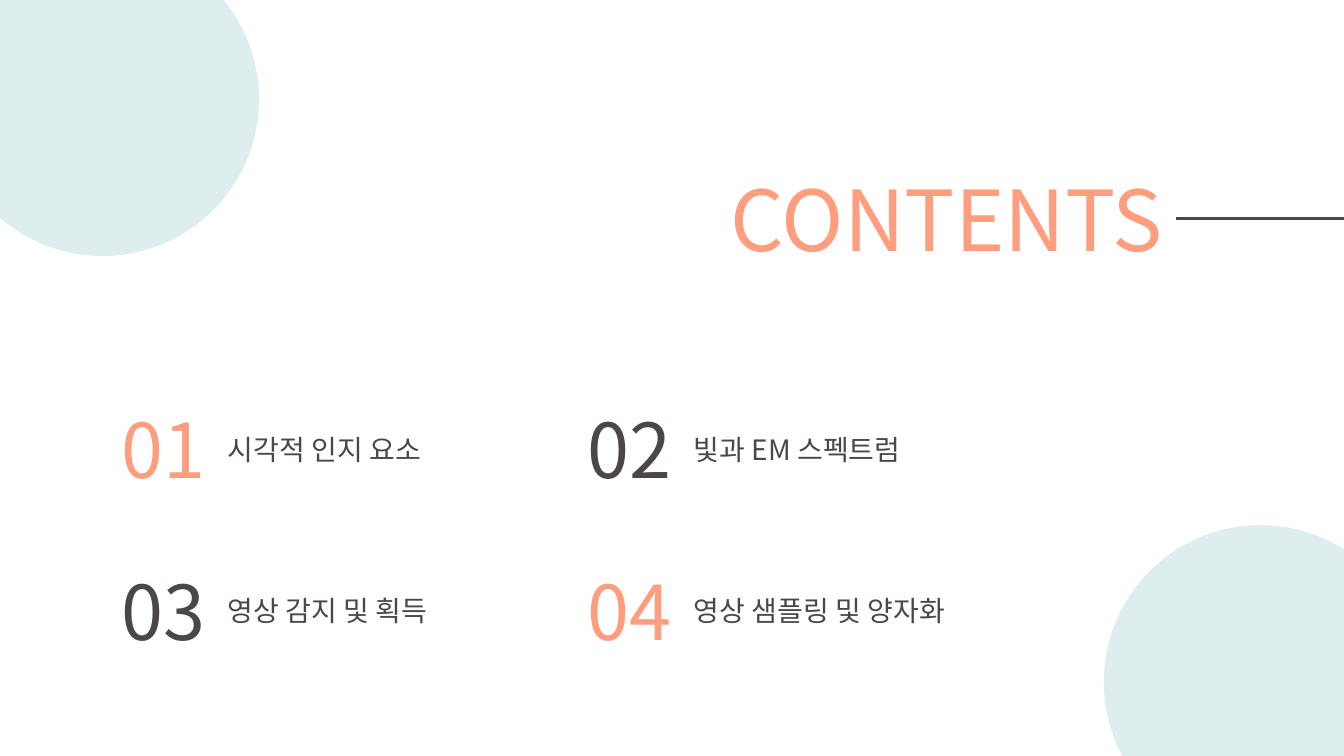
from lxml import etree
from pptx import Presentation
from pptx.dml.color import RGBColor
from pptx.enum.shapes import MSO_CONNECTOR, MSO_SHAPE
from pptx.enum.text import MSO_ANCHOR, MSO_AUTO_SIZE, PP_ALIGN
from pptx.oxml.ns import qn
from pptx.util import Inches, Pt

COLORS = {"coral": "FE9E7E", "ink": "4C4747", "mint": "C8E4E5", "paper": "FFFFFF"}
FONT = "Noto Sans CJK KR"
COLUMNS, ROWS = 40, 22.5


class ContentsSlide:
    """Draws styled elements on one slide, measured in grid columns and rows."""

    def __init__(self, deck, layout):
        self.slide = deck.slides.add_slide(deck.slide_layouts[layout])
        self.column = deck.slide_width / COLUMNS
        self.row = deck.slide_height / ROWS
        background = self.slide.background.fill
        background.solid()
        background.fore_color.rgb = self.color("paper")

    def color(self, name):
        return RGBColor.from_string(COLORS[name])

    def place(self, left, top, width, height):
        return (round(left * self.column), round(top * self.row),
                round(width * self.column), round(height * self.row))

    def set_alpha(self, parent, percent):
        for color in parent.iter(qn("a:srgbClr")):
            etree.SubElement(color, qn("a:alpha"), val=str(percent * 1000))

    def style_text(self, shape, text, area, size, color):
        shape.left, shape.top, shape.width, shape.height = self.place(*area)
        frame = shape.text_frame
        frame.word_wrap = False
        frame.auto_size = MSO_AUTO_SIZE.SHAPE_TO_FIT_TEXT
        frame.vertical_anchor = MSO_ANCHOR.TOP
        paragraph = frame.paragraphs[0]
        paragraph.alignment = PP_ALIGN.LEFT
        paragraph.space_before = Pt(0)
        properties = paragraph._p.get_or_add_pPr()
        properties.set("marL", "0")
        properties.set("indent", "0")
        etree.SubElement(properties, qn("a:buNone"))
        run = paragraph.add_run()
        run.text = text
        run.font.size = Pt(size)
        run.font.bold = False
        run.font.name = FONT
        run.font.color.rgb = self.color(color)
        style = run._r.get_or_add_rPr()
        etree.SubElement(style, qn("a:ea"), typeface=FONT)
        outline = etree.Element(qn("a:ln"), w=str(Pt(0.75)))
        fill = etree.SubElement(outline, qn("a:solidFill"))
        etree.SubElement(fill, qn("a:srgbClr"), val=COLORS[color])
        self.set_alpha(outline, 20)
        style.insert(0, outline)

    def title(self, text, area, size, color):
        self.style_text(self.slide.shapes.title, text, area, size, color)

    def number(self, text, area, size, color):
        box = self.slide.shapes.add_textbox(*self.place(*area))
        self.style_text(box, text, area, size, color)

    def topic(self, index, text, area, size, color):
        self.style_text(self.slide.placeholders[index], text, area, size, color)

    def rule(self, left, right, top, color, weight):
        x, y, width, _ = self.place(left, top, right - left, 0)
        line = self.slide.shapes.add_connector(MSO_CONNECTOR.STRAIGHT, x, y, x + width, y)
        line.line.color.rgb = self.color(color)
        line.line.width = Pt(weight)
        etree.SubElement(line._element.spPr, qn("a:effectLst"))

    def circle(self, left, top, diameter, color, alpha):
        area = self.place(left, top, diameter, diameter)
        disc = self.slide.shapes.add_shape(MSO_SHAPE.OVAL, *area)
        disc.shadow.inherit = False
        disc.fill.solid()
        disc.fill.fore_color.rgb = self.color(color)
        self.set_alpha(disc._element.spPr, alpha)
        disc.line.fill.background()


deck = Presentation()
deck.slide_width, deck.slide_height = Inches(13.33), Inches(7.5)
contents = ContentsSlide(deck, layout=4)

for left, top in [(-1.62, -1.71), (32.85, 15.63)]:
    contents.circle(left, top, 9.33, "mint", 60)
contents.title("CONTENTS", (21.45, 4.83, 13.56, 3.33), 60, "coral")
contents.rule(35, COLUMNS, 6.5, "ink", 2.25)

topics = [("시각적 인지 요소", 7.08), ("빛과 EM 스펙트럼", 7.44),
          ("영상 감지 및 획득", 7.38), ("영상 샘플링 및 양자화", 9.06)]
for index, (text, width) in enumerate(topics):
    row, column = divmod(index, 2)
    left, top = 3.33 + 13.87 * column, 11.85 + 4.8 * row
    accent = "coral" if row == column else "ink"
    contents.number(f"{index + 1:02}", (left, top, 3.15, 3.03), 54, accent)
    contents.topic(index + 1, text, (left + 3.15, top + 0.87, width, 1.32), 20, "ink")

deck.save("out.pptx")
